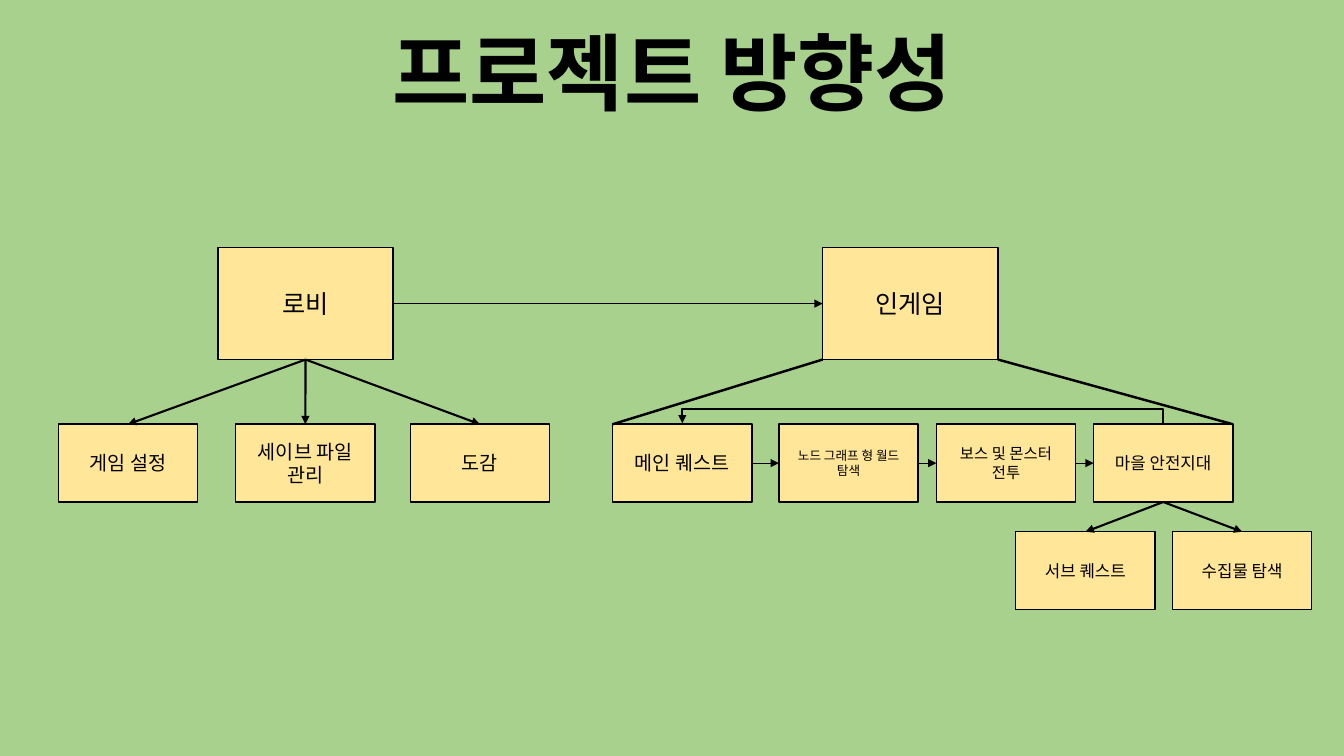
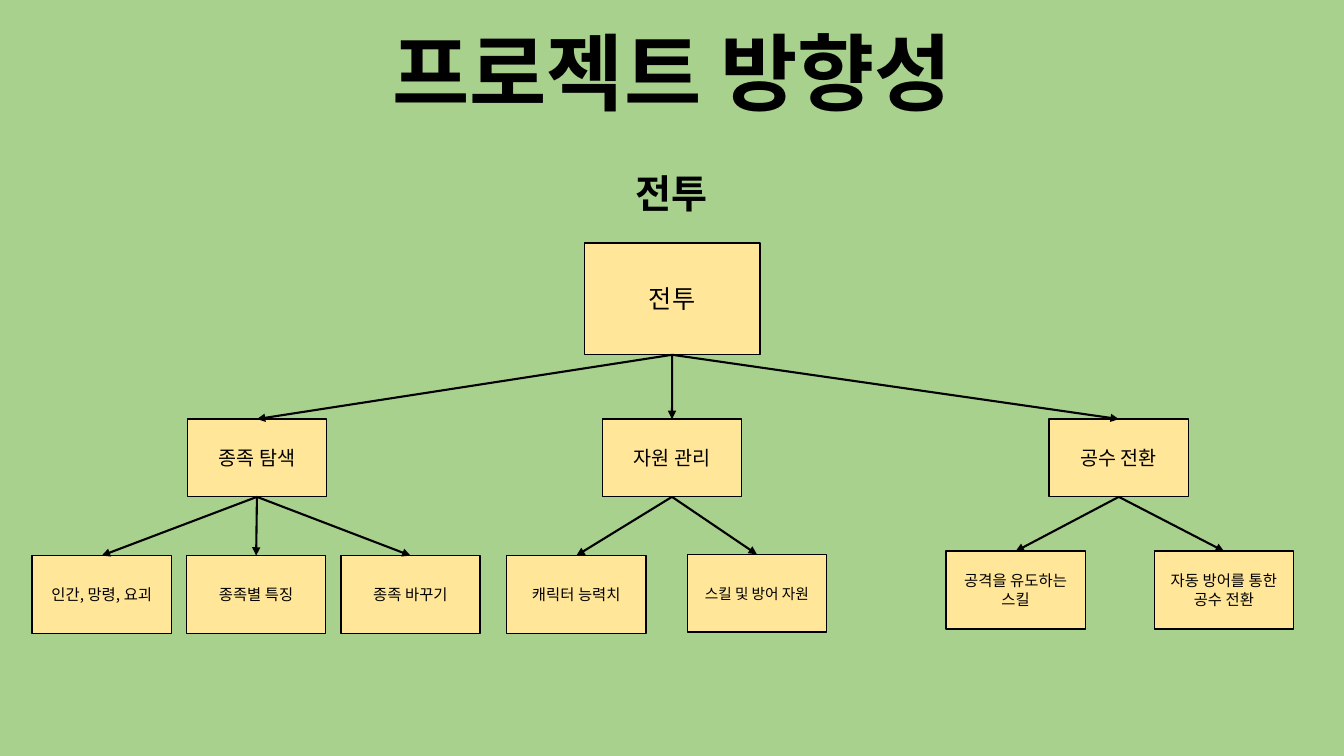
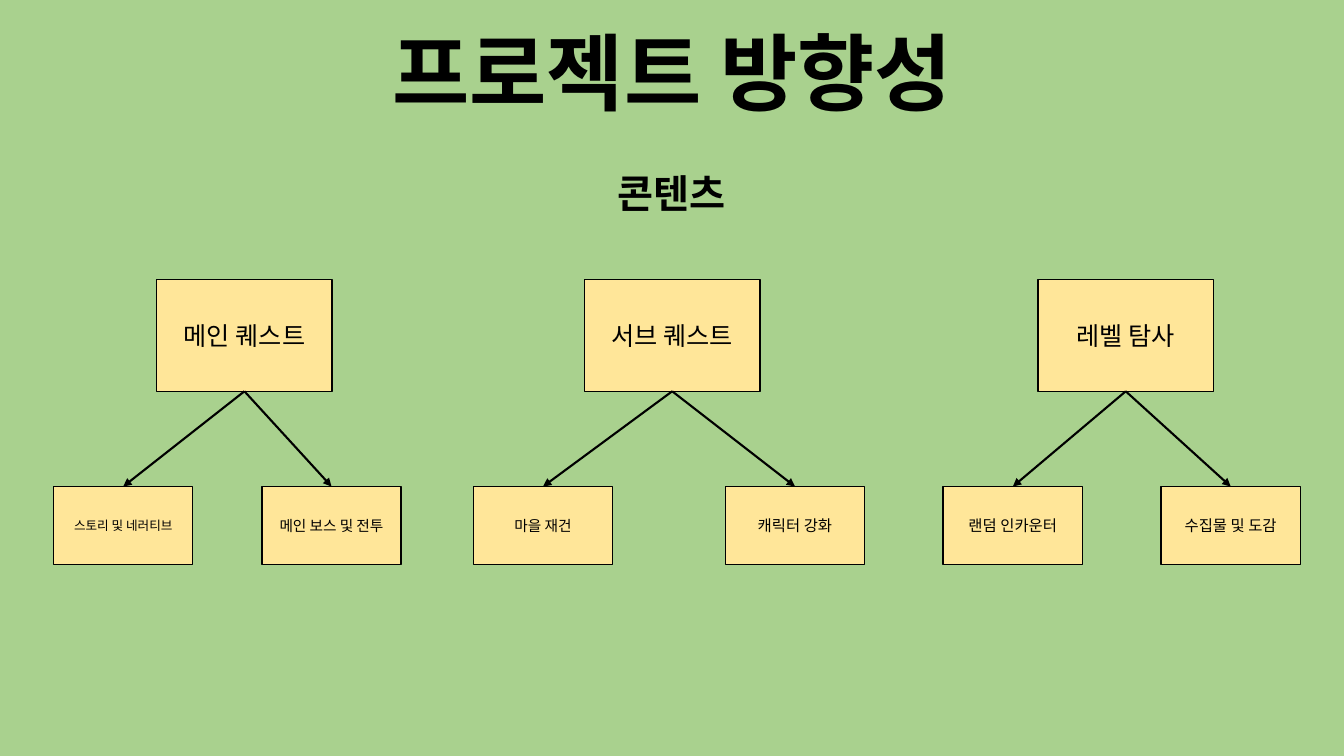
from lxml.etree import SubElement
from pptx import Presentation
from pptx.dml.color import RGBColor
from pptx.enum.shapes import MSO_CONNECTOR as Connector, MSO_SHAPE as Preset
from pptx.enum.text import MSO_ANCHOR as Anchor, MSO_AUTO_SIZE as AutoSize, PP_ALIGN as Align
from pptx.oxml.ns import qn
from pptx.util import Cm, Pt

COLOURS = {"page": "A9D18E", "box": "FFE699", "ink": "000000"}
FONT = "Noto Sans CJK KR"
TITLE = "프로젝트 방향성"
PAGE_WIDTH, PAGE_HEIGHT = 33.87, 19.05
LARGE = (4.42, 2.82)
SMALL = (3.51, 1.96)
TOP, LEFT, BOTTOM, RIGHT = range(4)


def colour(name):
    """Return a named colour from the palette."""
    return RGBColor.from_string(COLOURS[name])


def write(shape, text, size, bold=False):
    """Fill a shape with centred text, one paragraph for each line."""
    frame = shape.text_frame
    frame.word_wrap = True
    frame.auto_size = AutoSize.NONE
    frame.vertical_anchor = Anchor.MIDDLE
    for number, line in enumerate(text.split("\n")):
        para = frame.add_paragraph() if number else frame.paragraphs[0]
        para.alignment = Align.CENTER
        span = para.add_run()
        span.text = line
        span.font.name = FONT
        span.font.size = Pt(size)
        span.font.bold = bold
        span.font.color.rgb = colour("ink")
        SubElement(span.font._element, qn("a:ea"), typeface=FONT)


def add_page(deck):
    """Add a page with the shared title."""
    page = deck.slides.add_slide(deck.slide_layouts[5])
    title = page.shapes.title
    title.left, title.top, title.width, title.height = map(Cm, (4.85, 0.38, 24.18, 2.82))
    write(title, TITLE, 60, bold=True)
    return page


def add_subtitle(page, text, width):
    """Add a centred heading below the title."""
    left = (PAGE_WIDTH - width) / 2
    heading = page.shapes.add_textbox(Cm(left), Cm(4.14), Cm(width), Cm(1.45))
    write(heading, text, 28, bold=True)


def add_box(page, text, left, top, size, extent=SMALL):
    """Add an outlined box of the flow chart."""
    width, height = extent
    box = page.shapes.add_shape(Preset.RECTANGLE, Cm(left), Cm(top), Cm(width), Cm(height))
    box.shadow.inherit = False
    box.fill.solid()
    box.fill.fore_color.rgb = colour("box")
    box.line.color.rgb = colour("ink")
    box.line.width = Pt(1)
    write(box, text, size)
    return box


def add_row(page, top, items, extent=SMALL):
    """Add boxes that share a top edge from (text, left, size) items."""
    return [add_box(page, text, left, top, size, extent) for text, left, size in items]


def add_line(page, start, end, weight, arrow=True, kind=Connector.STRAIGHT):
    """Add a line between two points, with an optional arrowhead."""
    line = page.shapes.add_connector(kind, *start, *end)
    line.line.color.rgb = colour("ink")
    line.line.width = Pt(weight)
    properties = line._element.spPr
    if arrow:
        SubElement(properties.find(qn("a:ln")), qn("a:tailEnd"), type="triangle")
    SubElement(properties, qn("a:effectLst"))
    return line


def join(page, source, target, weight=1.5, sides=(BOTTOM, TOP)):
    """Join the side middles of two boxes with an arrow."""
    line = add_line(page, (0, 0), (0, 0), weight)
    line.begin_connect(source, sides[0])
    line.end_connect(target, sides[1])


def branch(page, parent, children):
    """Join a parent to each of its children."""
    for child in children:
        join(page, parent, child)


def add_return(page, source, target):
    """Add an elbow arrow that runs above a row from one box back to another."""
    line = add_line(page, (0, 0), (0, 0), 1.5, kind=Connector.ELBOW)
    depth, rise = Cm(0.04), Cm(0.4)
    start = source.left + source.width // 2
    end = target.left + target.width // 2
    span = start - end
    line.left = (start + end - depth) // 2
    line.top = source.top - span // 2
    line.width, line.height = depth, span
    properties = line._element.spPr
    frame = properties.find(qn("a:xfrm"))
    frame.set("rot", "16200000")
    frame.set("flipV", "1")
    geometry = properties.find(qn("a:prstGeom"))
    guides = geometry.find(qn("a:avLst"))
    if guides is None:
        guides = SubElement(geometry, qn("a:avLst"))
    SubElement(guides, qn("a:gd"), name="adj1", fmla=f"val {rise * 100000 // depth}")


def build_overview(deck):
    """Build the page on lobby and game flow."""
    page = add_page(deck)
    lobby, game = add_row(page, 6.24, [("로비", 5.49, 18), ("인게임", 20.73, 18)], LARGE)
    menus = add_row(page, 10.69, [
        ("게임 설정", 1.47, 14), ("세이브 파일 관리", 5.94, 14), ("도감", 10.34, 14)])
    stages = add_row(page, 10.69, [
        ("메인 퀘스트", 15.44, 14), ("노드 그래프 형 월드\n탐색", 19.63, 9),
        ("보스 및 몬스터 전투", 23.6, 11), ("마을 안전지대", 27.56, 12)])
    extras = add_row(page, 13.4, [("서브 퀘스트", 25.6, 12), ("수집물 탐색", 29.55, 12)])
    quest, village = stages[0], stages[-1]
    join(page, lobby, game, 0.5, (RIGHT, LEFT))
    for source, target in zip(stages, stages[1:]):
        join(page, source, target, 0.5, (RIGHT, LEFT))
    floor = game.top + game.height
    add_line(page, (game.left, floor), (quest.left, quest.top), 1.75, arrow=False)
    add_line(page, (game.left + game.width, floor),
             (village.left + village.width, village.top), 1.75, arrow=False)
    branch(page, lobby, menus)
    branch(page, village, extras)
    add_return(page, village, quest)


def build_battle(deck):
    """Build the page on battle."""
    page = add_page(deck)
    add_subtitle(page, "전투", 7.01)
    battle = add_box(page, "전투", 14.73, 6.12, 18, LARGE)
    topics = add_row(page, 10.56, [
        ("종족 탐색", 4.72, 14), ("자원 관리", 15.18, 14), ("공수 전환", 26.44, 14)])
    branch(page, battle, topics)
    races = ["인간, 망령, 요괴", "종족별 특징", "종족 바꾸기"]
    details = [
        add_row(page, 14, [(text, 0.81 + 3.89 * i, 11) for i, text in enumerate(races)]),
        [add_box(page, "캐릭터 능력치", 12.77, 14, 11),
         add_box(page, "스킬 및 방어 자원", 17.32, 13.97, 10.5)],
        add_row(page, 13.89, [
            ("공격을 유도하는\n스킬", 23.84, 11), ("자동 방어를 통한 공수 전환", 29.09, 11)]),
    ]
    for topic, children in zip(topics, details):
        branch(page, topic, children)


def build_contents(deck):
    """Build the page on contents."""
    page = add_page(deck)
    add_subtitle(page, "콘텐츠", 8.26)
    topics = add_row(page, 7.04, [
        ("메인 퀘스트", 3.95, 18), ("서브 퀘스트", 14.73, 18), ("레벨 탐사", 26.16, 18)], LARGE)
    details = add_row(page, 12.26, [
        ("스토리 및 네러티브", 1.35, 9), ("메인 보스 및 전투", 6.6, 10.5),
        ("마을 재건", 11.93, 10.5), ("캐릭터 강화", 18.28, 11),
        ("랜덤 인카운터", 23.77, 11), ("수집물 및 도감", 29.26, 11)])
    for number, topic in enumerate(topics):
        branch(page, topic, details[2 * number:2 * number + 2])


def main():
    """Build and save the deck."""
    deck = Presentation()
    deck.slide_width, deck.slide_height = Cm(PAGE_WIDTH), Cm(PAGE_HEIGHT)
    backdrop = deck.slide_master.background.fill
    backdrop.solid()
    backdrop.fore_color.rgb = colour("page")
    build_overview(deck)
    build_battle(deck)
    build_contents(deck)
    deck.save("out.pptx")


if __name__ == "__main__":
    main()
